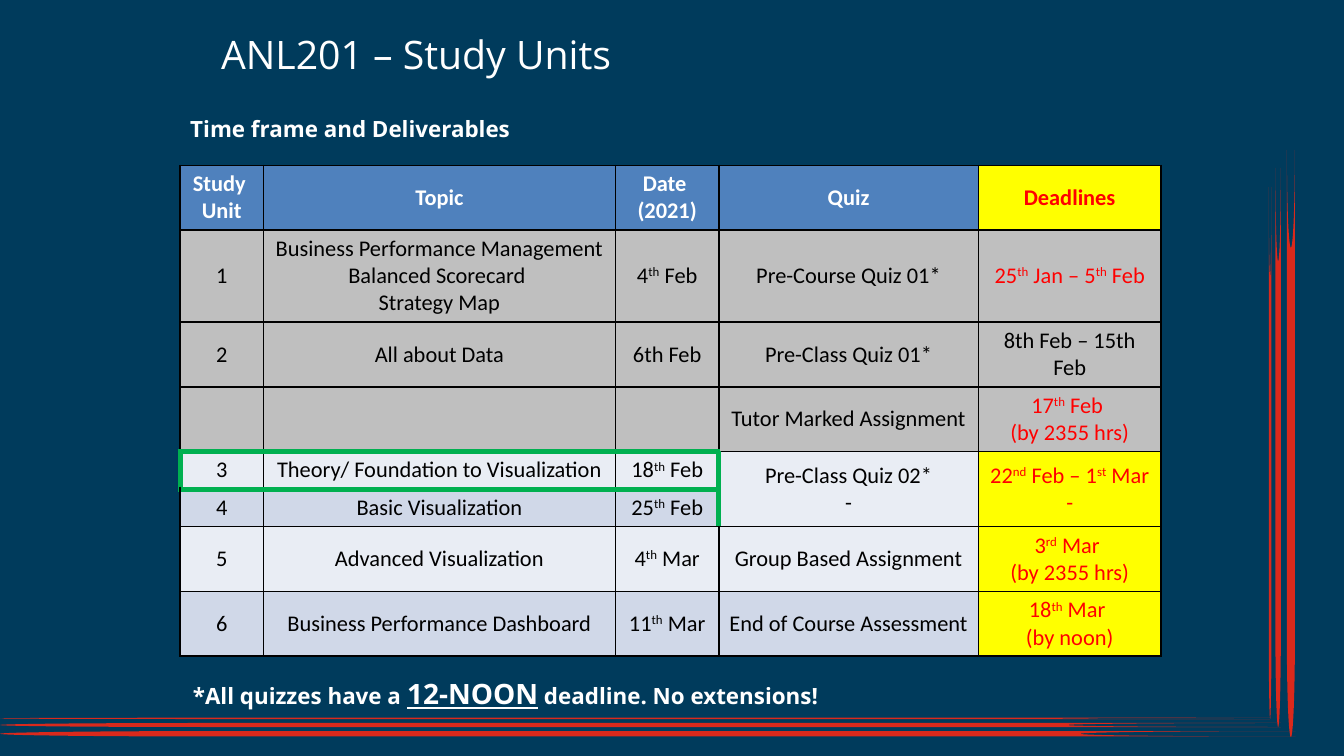
import dataclasses

import lxml.etree
import pptx
import pptx.dml.color
import pptx.enum.shapes
import pptx.enum.text
import pptx.oxml.ns
import pptx.util

Inches = pptx.util.Inches
Pt = pptx.util.Pt
RGBColor = pptx.dml.color.RGBColor
Align = pptx.enum.text.PP_ALIGN
Anchor = pptx.enum.text.MSO_ANCHOR
qn = pptx.oxml.ns.qn


@dataclasses.dataclass(frozen=True)
class Theme:
    navy: str = "003B5C"
    stripe: str = "DA291C"
    white: str = "FFFFFF"
    black: str = "000000"
    red: str = "FF0000"
    green: str = "00B050"
    blue: str = "4F81BD"
    yellow: str = "FFFF00"
    gray: str = "BFBFBF"
    light: str = "E9EDF4"
    medium: str = "D0D8E8"
    heading_font: str = "Open Sans"
    table_font: str = "Calibri"
    title_size: float = 21
    text_size: float = 12
    emphasis_size: float = 15
    thin_line: float = 1
    thick_line: float = 3
    side_inset: float = 5.4
    top_inset: float = 2.7


THEME = Theme()

STRIPES = [  # left, top, width, height, rotation
    (0, 5.34, 9.45, 0.01, 0),
    (0, 5.38, 9.53, 0.03, 0),
    (0, 5.44, 9.64, 0.04, 0),
    (7.47, 3.36, 3.96, 0.02, 270),
    (7.43, 3.31, 4.16, 0.04, 270),
    (7.42, 3.27, 4.37, 0.06, 270),
]

COLUMN_WIDTHS = [0.62, 2.62, 0.77, 1.93, 1.36]
ROW_HEIGHTS = [0.47, 0.68, 0.28, 0.47, 0.28, 0.28, 0.47, 0.47]
ROW_FILLS = [THEME.blue, THEME.gray, THEME.gray, THEME.gray,
             THEME.light, THEME.medium, THEME.light, THEME.medium]
DEADLINE_COLUMN = 4

# Text between carets is superscript.
SCHEDULE = [
    ["Study \nUnit", "Topic", "Date \n(2021)", "Quiz", "Deadlines"],
    ["1", "Business Performance Management\nBalanced Scorecard \nStrategy Map",
     "4^th^ Feb", "Pre-Course Quiz 01*", "25^th^ Jan – 5^th^ Feb"],
    ["2", "All about Data", "6th Feb", "Pre-Class Quiz 01*", "8th Feb – 15th Feb"],
    ["", "", "", "Tutor Marked Assignment", "17^th^ Feb \n(by 2355 hrs)"],
    ["3", "Theory/ Foundation to Visualization", "18^th^ Feb",
     "Pre-Class Quiz 02*\n-", "22^nd^ Feb – 1^st^ Mar\n-"],
    ["4", "Basic Visualization", "25^th^ Feb", "", ""],
    ["5", "Advanced Visualization", "4^th^ Mar",
     "Group Based Assignment", "3^rd^ Mar \n(by 2355 hrs)"],
    ["6", "Business Performance Dashboard", "11^th^ Mar",
     "End of Course Assessment", "18^th^ Mar \n(by noon)"],
]

GREEN_EDGES = {(4, 0, "L"), (4, 2, "R"), (4, 3, "L"), (5, 3, "L")}
for unit_column in range(3):
    GREEN_EDGES |= {(3, unit_column, "B"), (4, unit_column, "T"),
                    (4, unit_column, "B"), (5, unit_column, "T")}


def add_text(para, text, *, size=THEME.text_size, font=THEME.heading_font,
             color=THEME.white, bold=False, underline=False):
    """Append text to a paragraph, raising the parts between carets."""
    for index, part in enumerate(text.split("^")):
        if not part:
            continue
        span = para.add_run()
        span.text = part
        span.font.size = Pt(size)
        span.font.name = font
        span.font.color.rgb = RGBColor.from_string(color)
        span.font.bold = bold
        span.font.underline = underline
        if index % 2:
            span.font._element.set("baseline", "30000")


def set_insets(target):
    """Set the margins of a text frame or a table cell."""
    target.margin_left = target.margin_right = Pt(THEME.side_inset)
    target.margin_top = target.margin_bottom = Pt(THEME.top_inset)


def set_borders(cell, row, column):
    properties = cell._tc.get_or_add_tcPr()
    for index, side in enumerate("LRTB"):
        marked = (row, column, side) in GREEN_EDGES
        line = lxml.etree.Element(qn(f"a:ln{side}"))
        line.set("w", str(Pt(THEME.thick_line if marked else THEME.thin_line)))
        fill = lxml.etree.SubElement(line, qn("a:solidFill"))
        color = lxml.etree.SubElement(fill, qn("a:srgbClr"))
        color.set("val", THEME.green if marked else THEME.black)
        properties.insert(index, line)


class SlideBuilder:
    def __init__(self, page, theme):
        self.page = page
        self.theme = theme

    def background(self):
        fill = self.page.background.fill
        fill.solid()
        fill.fore_color.rgb = RGBColor.from_string(self.theme.navy)

    def stripe(self, left, top, width, height, rotation):
        shape = self.page.shapes.add_shape(
            pptx.enum.shapes.MSO_SHAPE.FLOWCHART_STORED_DATA,
            Inches(left), Inches(top), Inches(width), Inches(height))
        shape.rotation = rotation
        shape.shadow.inherit = False
        shape.fill.solid()
        shape.fill.fore_color.rgb = RGBColor.from_string(self.theme.stripe)
        shape.line.fill.background()

    def text_frame(self, box, left, top, width, height, anchor=Anchor.TOP):
        """Place a box, format its frame and return the first paragraph."""
        box.left, box.top = Inches(left), Inches(top)
        box.width, box.height = Inches(width), Inches(height)
        frame = box.text_frame
        frame.word_wrap = True
        frame.auto_size = pptx.enum.text.MSO_AUTO_SIZE.NONE
        frame.vertical_anchor = anchor
        set_insets(frame)
        para = frame.paragraphs[0]
        para.alignment = Align.LEFT
        para.space_before = Pt(0)
        return para

    def title(self, text):
        para = self.text_frame(self.page.shapes.title, 1.57, 0.18, 6.19, 0.5,
                               Anchor.MIDDLE)
        para.line_spacing = 0.8
        add_text(para, text, size=self.theme.title_size)

    def hanging_line(self, box, left, top, spans):
        para = self.text_frame(box, left, top, 6.19, 0.25)
        properties = para._p.get_or_add_pPr()
        properties.set("marL", str(Inches(0.28)))
        properties.set("indent", str(Inches(-0.28)))
        lxml.etree.SubElement(properties, qn("a:buNone"))
        for text, style in spans:
            add_text(para, text, bold=True, **style)

    def cell(self, cell, row, column, text):
        deadline = column == DEADLINE_COLUMN
        yellow = deadline and ROW_FILLS[row] != self.theme.gray
        cell.fill.solid()
        cell.fill.fore_color.rgb = RGBColor.from_string(
            self.theme.yellow if yellow else ROW_FILLS[row])
        cell.vertical_anchor = Anchor.MIDDLE
        set_insets(cell)
        set_borders(cell, row, column)
        color = self.theme.white if row == 0 else self.theme.black
        if deadline and row != 2:
            color = self.theme.red
        for index, line in enumerate(text.split("\n")):
            frame = cell.text_frame
            para = frame.add_paragraph() if index else frame.paragraphs[0]
            para.alignment = Align.CENTER
            add_text(para, line, font=self.theme.table_font, color=color, bold=row == 0)

    def schedule(self, left, top):
        table = self.page.shapes.add_table(
            len(ROW_HEIGHTS), len(COLUMN_WIDTHS), Inches(left), Inches(top),
            Inches(sum(COLUMN_WIDTHS)), Inches(sum(ROW_HEIGHTS))).table
        table.first_row = table.horz_banding = False
        for column, width in zip(table.columns, COLUMN_WIDTHS):
            column.width = Inches(width)
        for row, height in zip(table.rows, ROW_HEIGHTS):
            row.height = Inches(height)
        for column in (3, DEADLINE_COLUMN):
            table.cell(4, column).merge(table.cell(5, column))
        for row, texts in enumerate(SCHEDULE):
            for column, text in enumerate(texts):
                self.cell(table.cell(row, column), row, column, text)


def main():
    deck = pptx.Presentation()
    deck.slide_width = Inches(10)
    deck.slide_height = deck.slide_width * 9 // 16
    page = deck.slides.add_slide(deck.slide_layouts[1])
    builder = SlideBuilder(page, THEME)
    builder.background()
    for stripe in STRIPES:
        builder.stripe(*stripe)
    builder.title("ANL201 – Study Units")
    builder.hanging_line(page.placeholders[1], 1.34, 0.82,
                         [("Time frame and Deliverables", {})])
    builder.schedule(1.34, 1.23)
    note = page.shapes.add_textbox(0, 0, 0, 0)
    builder.hanging_line(note, 1.36, 5, [
        ("*All quizzes have a ", {}),
        ("12-NOON", {"size": THEME.emphasis_size, "underline": True}),
        (" deadline. No extensions!", {}),
    ])
    deck.save("out.pptx")


if __name__ == "__main__":
    main()
